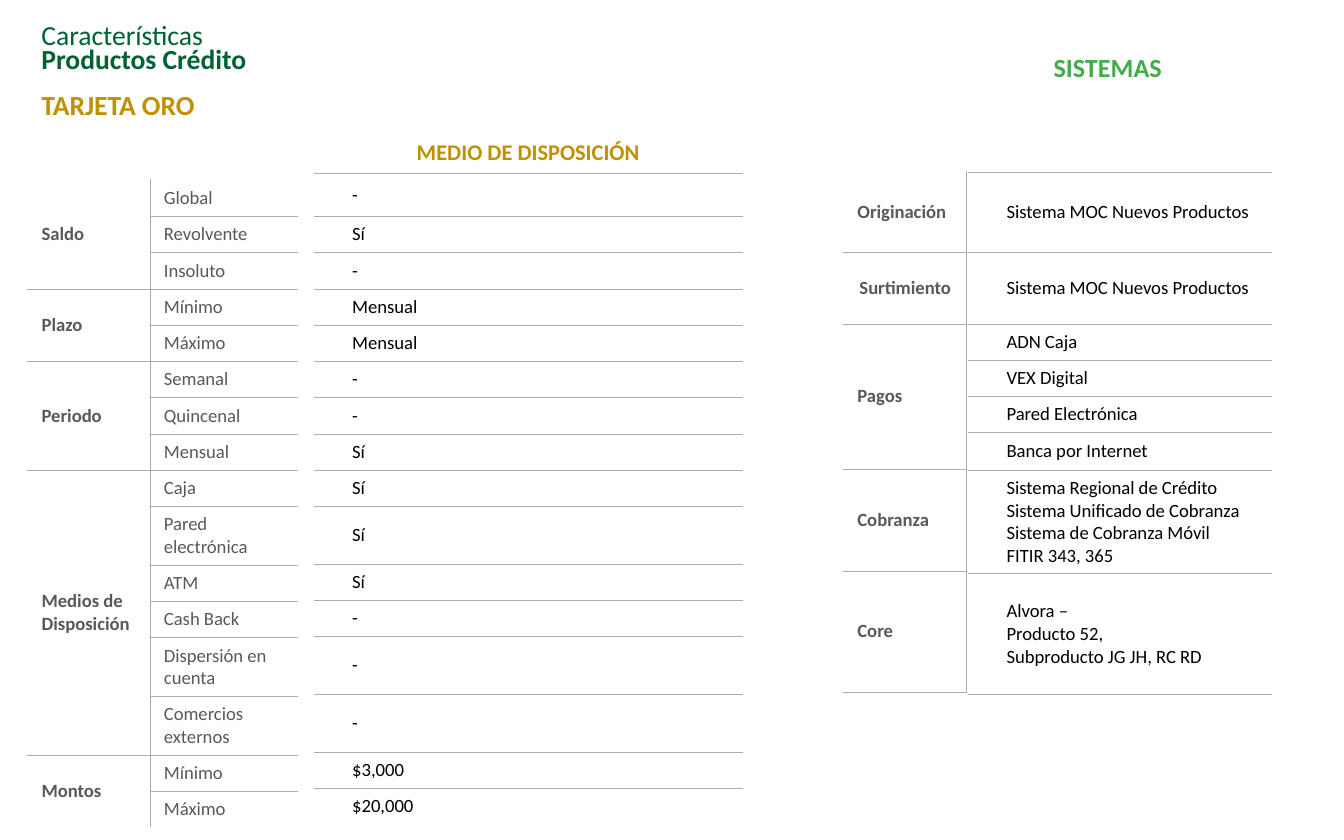
from dataclasses import dataclass
from typing import NamedTuple

from lxml.etree import SubElement
from pptx import Presentation
from pptx.dml.color import RGBColor
from pptx.enum.text import MSO_ANCHOR as Anchor, PP_ALIGN as Align
from pptx.oxml.ns import qn
from pptx.util import Inches, Pt

COLORS = {"line": "AFABAB", "blank": "FFFFFF", "label": "595959", "value": "000000",
          "gold": "BF9000", "forest": "006135", "green": "42AC47"}
FONT = "Calibri"
ROW, TALL_ROW, HEADER_ROW = 0.27, 0.43, 0.96  # row grid, inches
INDENT = 0.28
EDGES = {"l": "a:lnL", "r": "a:lnR", "t": "a:lnT", "b": "a:lnB"}


class Feature(NamedTuple):
    name: str
    value: str
    height: float = ROW


class System(NamedTuple):
    label: str
    height: float
    entries: list[tuple[str, float]]


@dataclass
class Cell:
    text: str = ""
    lines: str = "tb"  # edges with a grey line
    color: str = "value"
    size: float = 10
    bold: bool = False
    margin: float = 0.1
    align: Align = Align.LEFT
    anchor: Anchor = Anchor.MIDDLE
    span: int = 1


FEATURES = {
    "Saldo": [Feature("Global", "-"), Feature("Revolvente", "Sí"), Feature("Insoluto", "-")],
    "Plazo": [Feature("Mínimo", "Mensual"), Feature("Máximo", "Mensual")],
    "Periodo": [Feature("Semanal", "-"), Feature("Quincenal", "-"), Feature("Mensual", "Sí")],
    "Medios de Disposición": [
        Feature("Caja", "Sí"), Feature("Pared electrónica", "Sí", TALL_ROW),
        Feature("ATM", "Sí"), Feature("Cash Back", "-"),
        Feature("Dispersión en cuenta", "-", TALL_ROW),
        Feature("Comercios externos", "-", TALL_ROW)],
    "Montos": [Feature("Mínimo", "$3,000"), Feature("Máximo", "$20,000")],
}
SYSTEMS = [
    System("Originación", 0.6, [("Sistema MOC Nuevos Productos", 0.6)]),
    System("Surtimiento", 0.53, [("Sistema MOC Nuevos Productos", 0.53)]),
    System("Pagos", 1.08, [("ADN Caja", ROW), ("VEX Digital", ROW),
                           ("Pared Electrónica", ROW), ("Banca por Internet", 0.28)]),
    System("Cobranza", 0.76, [("Sistema Regional de Crédito\nSistema Unificado de Cobranza\n"
                               "Sistema de Cobranza Móvil\nFITIR 343, 365", 0.77)]),
    System("Core", 0.9, [("Alvora –\nProducto 52,\nSubproducto JG JH, RC RD", 0.9)]),
]


def set_font(font, color: str, size: float, bold: bool = False) -> None:
    font.name, font.size, font.bold = FONT, Pt(size), bold
    font.color.rgb = RGBColor.from_string(COLORS[color])


def set_borders(target, lines: str) -> None:
    props = target._tc.get_or_add_tcPr()
    for edge, tag in EDGES.items():
        shown = edge in lines
        line = SubElement(props, qn(tag), w=str(Pt(0.25 if shown else 1)))
        fill = SubElement(line, qn("a:solidFill"))
        SubElement(fill, qn("a:srgbClr"), val=COLORS["line" if shown else "blank"])


def fill_cell(target, cell: Cell) -> None:
    set_borders(target, cell.lines)
    target.fill.background()
    target.vertical_anchor = cell.anchor
    target.margin_left = Inches(cell.margin)
    target.text_frame.text = cell.text
    for paragraph in target.text_frame.paragraphs:
        paragraph.alignment = cell.align
        set_font(paragraph.font, cell.color, cell.size, cell.bold)
        for run in paragraph.runs:
            set_font(run.font, cell.color, cell.size, cell.bold)


def draw_table(slide, left: float, top: float, widths: list[float],
               heights: list[float], rows: list[list[Cell]]) -> None:
    table = slide.shapes.add_table(len(rows), len(widths), Inches(left), Inches(top),
                                   Inches(sum(widths)), Inches(sum(heights))).table
    table.first_row = table.horz_banding = False
    for column, width in zip(table.columns, widths):
        column.width = Inches(width)
    for row, height in zip(table.rows, heights):
        row.height = Inches(height)
    for r, row in enumerate(rows):
        for c, cell in enumerate(row):
            fill_cell(table.cell(r, c), cell)
            if cell.span > 1:
                table.cell(r, c).merge(table.cell(r + cell.span - 1, c))


def row_lines(index: int, count: int, closed: bool = False) -> str:
    """Lines between rows; closed adds one under the last row."""
    return ("t" if index else "") + ("b" if closed or index < count - 1 else "")


def add_text(slide, left: float, top: float, width: float, height: float):
    frame = slide.shapes.add_textbox(*map(Inches, (left, top, width, height))).text_frame
    frame.word_wrap = True
    return frame


def draw_features(slide) -> None:
    features = [f for group in FEATURES.values() for f in group]
    count = len(features)

    # Card values under their header
    values = [[Cell("MEDIO DE DISPOSICIÓN", "b", "gold", 12, True,
                    align=Align.CENTER, anchor=Anchor.BOTTOM)]]
    values += [[Cell(f.value, "t" + row_lines(i, count).replace("t", ""), margin=INDENT)]
               for i, f in enumerate(features)]
    heights = [f.height for f in features]
    draw_table(slide, 2.34, 0.33, [3.18], [HEADER_ROW, 0.32] + heights[1:], values)

    # Feature groups and names
    rows = []
    for g, (title, group) in enumerate(FEATURES.items()):
        for i, feature in enumerate(group):
            if i == 0:
                label = Cell(title, "r" + row_lines(g, len(FEATURES)), "label",
                             bold=True, span=len(group))
            else:
                closes = i == len(group) - 1 and g < len(FEATURES) - 1
                label = Cell(lines="rb" if closes else "r")
            rows.append([label, Cell(feature.name, "l" + row_lines(len(rows), count), "label")])
    draw_table(slide, 0.21, 1.34, [0.91, 1.09], heights, rows)


def draw_systems(slide) -> None:
    # Process labels
    labels = [[Cell(s.label, "r" + row_lines(i, len(SYSTEMS), True), "label", bold=True,
                    align=Align.CENTER if s.label == "Surtimiento" else Align.LEFT)]
              for i, s in enumerate(SYSTEMS)]
    draw_table(slide, 6.28, 1.28, [0.91], [s.height for s in SYSTEMS], labels)

    # Systems in use
    entries = [entry for s in SYSTEMS for entry in s.entries]
    rows = [[Cell(lines="b")]] + [[Cell(text, margin=INDENT)] for text, _ in entries]
    draw_table(slide, 7.21, 0.32, [2.25], [HEADER_ROW] + [h for _, h in entries], rows)


def draw_titles(slide) -> None:
    titles = add_text(slide, 0.21, 0.13, 8, 0.84)
    titles.vertical_anchor = Anchor.MIDDLE
    titles.text = "Características\nProductos Crédito\nTARJETA ORO"
    styles = [("forest", False), ("forest", True), ("gold", True)]
    for paragraph, (color, bold) in zip(titles.paragraphs, styles):
        paragraph.line_spacing = 0.7
        set_font(paragraph.runs[0].font, color, 14.8, bold)
    titles.paragraphs[-1].space_before = Pt(12.6)

    systems = add_text(slide, 7.74, 0.33, 1.02, 0.34)
    systems.word_wrap = False
    systems.text = "SISTEMAS"
    set_font(systems.paragraphs[0].runs[0].font, "green", 14, True)


def main() -> None:
    deck = Presentation()
    deck.slide_width, deck.slide_height = Inches(10), Inches(6.25)
    slide = deck.slides.add_slide(deck.slide_layouts[6])
    draw_features(slide)
    draw_titles(slide)
    draw_systems(slide)
    deck.save("out.pptx")


if __name__ == "__main__":
    main()
